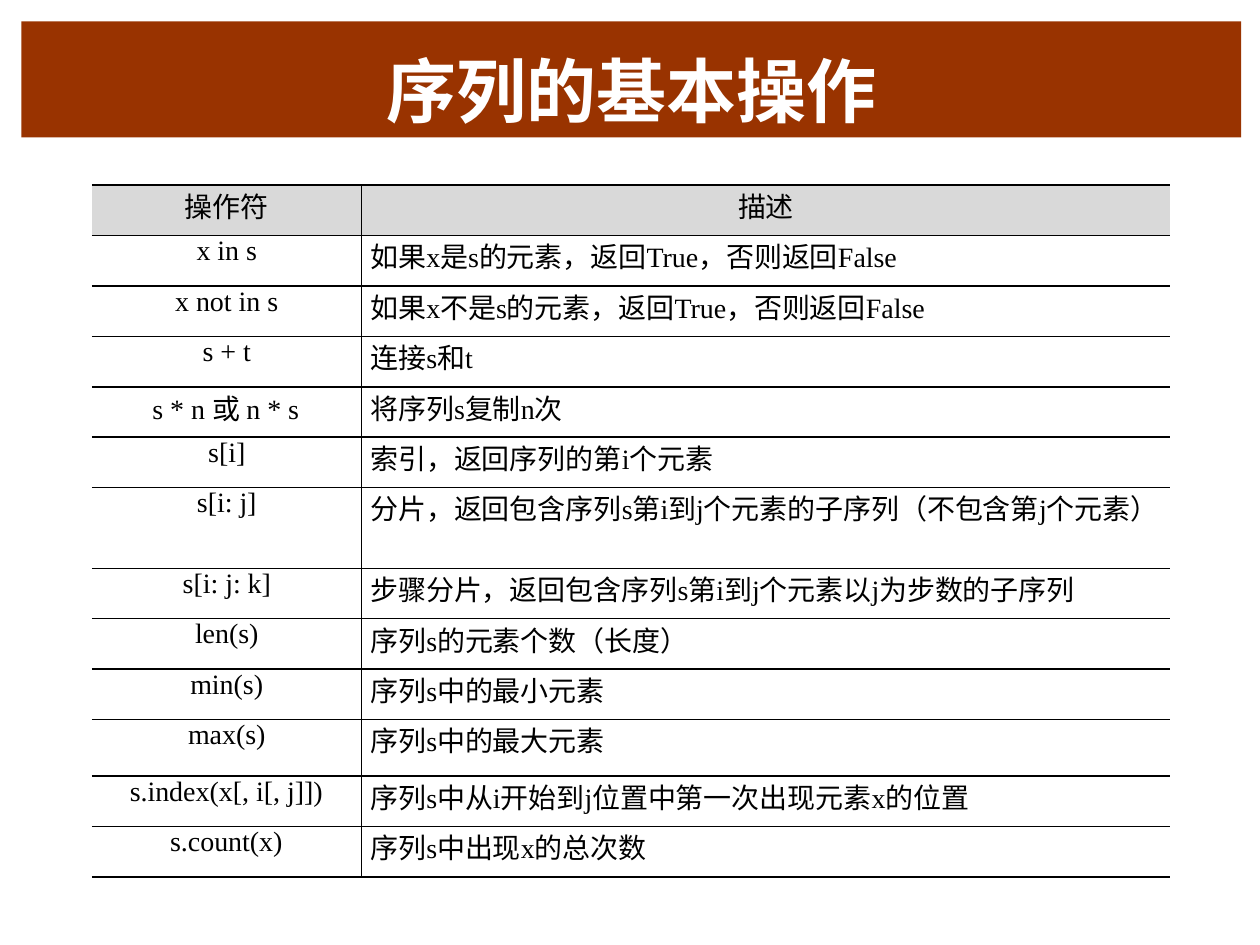
from itertools import groupby

from lxml.etree import SubElement
from pptx import Presentation
from pptx.dml.color import RGBColor
from pptx.enum.shapes import MSO_SHAPE
from pptx.enum.text import MSO_ANCHOR, PP_ALIGN
from pptx.oxml.ns import qn
from pptx.util import Inches, Pt

COLORS = {"banner": "993300", "title": "FFFFFF", "header": "D9D9D9",
          "text": "000000", "rule": "000000"}
LATIN_FONT = "Times New Roman"
CHINESE_FONT = "Noto Sans CJK SC"

HEADER = ("操作符", "描述")
# Operator, description, left indent of the operator (None: centred)
OPERATIONS = [
    ("x in s", "如果x是s的元素，返回True，否则返回False", None),
    ("x not in s", "如果x不是s的元素，返回True，否则返回False", 0.66),
    ("s + t", "连接s和t", None),
    ("s * n 或 n * s", "将序列s复制n次", 0.48),
    ("s[i]", "索引，返回序列的第i个元素", None),
    ("s[i: j]", "分片，返回包含序列s第i到j个元素的子序列（不包含第j个元素）", None),
    ("s[i: j: k]", "步骤分片，返回包含序列s第i到j个元素以j为步数的子序列", 0.72),
    ("len(s)", "序列s的元素个数（长度）", None),
    ("min(s)", "序列s中的最小元素", None),
    ("max(s)", "序列s中的最大元素", None),
    ("s.index(x[, i[, j]])", "序列s中从i开始到j位置中第一次出现元素x的位置", 0.3),
    ("s.count(x)", "序列s中出现x的总次数", 0.62),
]
ROW_HEIGHT = 0.4
TALL_ROWS = {"max(s)": 0.45}
OPERATOR_SHARE = 0.25
DESCRIPTION_INDENT = 0.07


def rgb(name):
    return RGBColor.from_string(COLORS[name])


def add_run(paragraph, text, font, size, color, bold=False):
    run = paragraph.add_run()
    run.text = text
    run.font.size = Pt(size)
    run.font.bold = bold
    run.font.color.rgb = rgb(color)
    run.font.name = font
    return run


def add_mixed_text(paragraph, text):
    """Give Latin and Chinese stretches their own font."""
    for is_latin, characters in groupby(text, key=str.isascii):
        font = LATIN_FONT if is_latin else CHINESE_FONT
        run = add_run(paragraph, "".join(characters), font, 16, "text")
        if not is_latin:
            SubElement(run.font._element, qn("a:ea"), typeface=font)


def set_borders(cell, sides):
    """Rule the given sides (of L, R, T, B) and clear the others."""
    properties = cell._tc.get_or_add_tcPr()
    for side in "LRTB":
        line = SubElement(properties, qn(f"a:ln{side}"), w=str(Pt(1)))
        if side in sides:
            fill = SubElement(line, qn("a:solidFill"))
            SubElement(fill, qn("a:srgbClr"), val=COLORS["rule"])
        else:
            SubElement(line, qn("a:noFill"))


def fill_cell(cell, text, sides, indent=None, fill=None):
    cell.margin_left = cell.margin_right = 0
    cell.margin_top = cell.margin_bottom = 0
    set_borders(cell, sides)
    if fill:
        cell.fill.solid()
        cell.fill.fore_color.rgb = rgb(fill)
    else:
        cell.fill.background()
    paragraph = cell.text_frame.paragraphs[0]
    if indent is None:
        paragraph.alignment = PP_ALIGN.CENTER
    else:
        paragraph.alignment = PP_ALIGN.LEFT
        paragraph._p.get_or_add_pPr().set("marL", str(Inches(indent)))
    add_mixed_text(paragraph, text)


def add_banner(slide, left, top, width, height, title):
    banner = slide.shapes.add_shape(MSO_SHAPE.RECTANGLE, left, top, width, height)
    banner.shadow.inherit = False
    banner.fill.solid()
    banner.fill.fore_color.rgb = rgb("banner")
    banner.line.fill.background()
    frame = banner.text_frame
    frame.word_wrap = True
    frame.vertical_anchor = MSO_ANCHOR.BOTTOM
    paragraph = frame.paragraphs[0]
    paragraph.alignment = PP_ALIGN.CENTER
    add_run(paragraph, title, "Arial", 40, "title", bold=True)


def add_operations_table(slide, left, top, width):
    heights = [Inches(ROW_HEIGHT)]
    heights += [Inches(TALL_ROWS.get(name, ROW_HEIGHT)) for name, _, _ in OPERATIONS]
    table = slide.shapes.add_table(
        len(heights), 2, left, top, width, sum(heights)).table
    table.first_row = table.horz_banding = False
    table.columns[0].width = int(width * OPERATOR_SHARE)
    table.columns[1].width = width - table.columns[0].width
    for row, height in zip(table.rows, heights):
        row.height = height

    for column, (text, sides) in enumerate(zip(HEADER, ("RTB", "LTB"))):
        fill_cell(table.cell(0, column), text, sides, fill="header")
    for row, (operator, description, indent) in enumerate(OPERATIONS, start=1):
        fill_cell(table.cell(row, 0), operator, "RTB", indent)
        fill_cell(table.cell(row, 1), description, "LTB", DESCRIPTION_INDENT)


def main():
    presentation = Presentation()
    presentation.slide_width = Inches(10)
    presentation.slide_height = Inches(7.5)
    slide = presentation.slides.add_slide(presentation.slide_layouts[6])
    add_banner(slide, Inches(0.17), Inches(0.17), Inches(9.68), Inches(0.92),
               "序列的基本操作")
    add_operations_table(slide, Inches(0.73), Inches(1.47), Inches(8.56))
    presentation.save("out.pptx")


if __name__ == "__main__":
    main()
